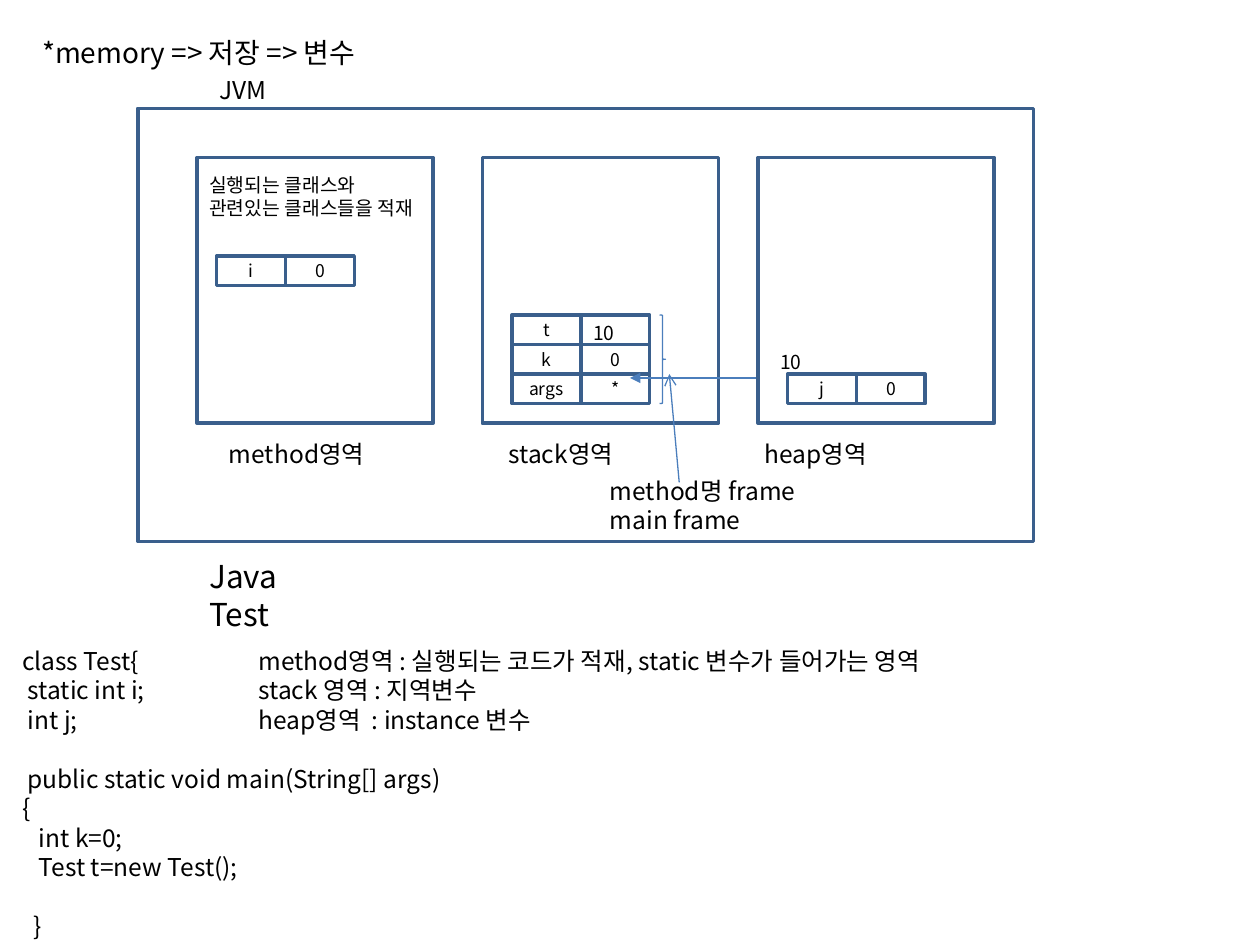
from pptx import Presentation
from pptx.dml.color import RGBColor
from pptx.enum.shapes import MSO_CONNECTOR as Link, MSO_SHAPE as Kind
from pptx.enum.text import MSO_ANCHOR as Anchor, MSO_AUTO_SIZE as Fit, PP_ALIGN as Align
from pptx.oxml.ns import qn
from pptx.util import Inches, Pt
from lxml.etree import SubElement

FONT = "Noto Sans CJK KR"
INK, EDGE, THIN = "000000", "3A5F8C", "4B7EBC"
WIDE, HIGH = 10, 7.5
UNIT = WIDE / 128  # the slide is 128 columns wide; all places are in grid units
CELL_W, CELL_H = 7, 3
GAP = 17  # points, one empty line of code

# left, top, width, height
FRAME = (14, 11, 91, 44)
AREAS = [(x, 16, 24, 27) for x in (20, 49, 77)]

TITLE = (3, 3, 38.3, 4.7), 16, ["*memory => 저장 => 변수"]
NOTES = [
    ((22, 44, 16.5, 4.4), 14, ["method영역"]),
    ((50.4, 44, 13.3, 4.4), 14, ["stack영역"]),
    ((76.4, 44, 13.2, 4.4), 14, ["heap영역"]),
    ((21, 7, 7.4, 4.4), 14, ["JVM"]),
    ((25, 65, 76, 10.4), 14, [
        "method영역 : 실행되는 코드가 적재, static 변수가 들어가는 영역",
        "stack 영역 : 지역변수",
        "heap영역  : instance 변수"]),
    ((20, 56, 15.4, 5.1), 18, ["Java Test"]),
    ((20, 17, 25.7, 6), 11, ["실행되는 클래스와", "관련있는 클래스들을 적재"]),
    ((60.7, 47.7, 21.4, 7.3), 14, ["method명 frame", "main frame"]),
    ((78, 35, 4.8, 3.7), 11, ["10"]),
    ((59, 32, 4.8, 3.7), 11, ["10"]),
]
CODE = (1, 65, 45.6, 31), 14, [
    "class Test{",
    " static int i;",
    " int j;",
    " public static void main(String[] args){",
    "   int k=0;",
    "   Test t=new Test();",
    "  }",
]
BREAKS = (3, 6)  # code lines that follow an empty line

# left, top, rows of name and value
STORES = [
    (22, 26, [("i", "0")]),
    (52, 32, [("t", ""), ("k", "0"), ("args", "*")]),
    (80, 38, [("j", "0")]),
]
BRACE = (67, 32, 0.6, 9)
ARROW = (69, 49, 68, 38)
CURVE = [  # inches
    (6.25, 2.99), (6.24, 2.91), (6.21, 2.86), (6.17, 2.81), (6.12, 2.78),
    (6.06, 2.74), (5.99, 2.71), (5.92, 2.69), (5.88, 2.68), (5.51, 2.68),
    (5.42, 2.7), (5.35, 2.72), (5.25, 2.75), (5.18, 2.78), (5.1, 2.81),
    (5.06, 2.83), (5.02, 2.85),
]


def color(code):
    return RGBColor.from_string(code)


def grid(nums):
    return [Inches(n * UNIT) for n in nums]


def write(shape, size, lines, breaks=(), **form):
    frame = shape.text_frame
    base = dict(word_wrap=True, auto_size=Fit.NONE, vertical_anchor=Anchor.TOP)
    align = form.pop("align", Align.LEFT)
    for key, val in {**base, **form}.items():
        setattr(frame, key, val)
    for i, line in enumerate(lines):
        para = frame.paragraphs[0] if i == 0 else frame.add_paragraph()
        para.alignment = align
        if i in breaks:
            para.space_before = Pt(GAP)
        run = para.add_run()
        run.text = line
        font = run.font
        for key, val in dict(name=FONT, size=Pt(size)).items():
            setattr(font, key, val)
        font.color.rgb = color(INK)
        SubElement(run._r.get_or_add_rPr(), qn("a:ea"), typeface=FONT)


def note(shapes, box, size, lines, breaks=()):
    write(shapes.add_textbox(*grid(box)), size, lines, breaks)


def trace(shape, code, width):
    shape.line.color.rgb = color(code)
    shape.line.width = Pt(width)


def outline(shape, code=EDGE, width=2):
    shape.shadow.inherit = False
    shape.fill.background()
    trace(shape, code, width)
    return shape


def tip(shape, kind):
    SubElement(shape.line._get_or_add_ln(), qn("a:tailEnd"), type=kind)


def store(shapes, left, top, rows):
    for r, row in enumerate(rows):
        for c, word in enumerate(row):
            box = left + c * CELL_W, top + r * CELL_H, CELL_W, CELL_H
            cell = outline(shapes.add_shape(Kind.RECTANGLE, *grid(box)))
            if word:
                write(cell, 10, [word], align=Align.CENTER,
                      vertical_anchor=Anchor.MIDDLE)


def main():
    deck = Presentation()
    deck.slide_width, deck.slide_height = Inches(WIDE), Inches(HIGH)
    shapes = deck.slides.add_slide(deck.slide_layouts[5]).shapes

    box, size, lines = TITLE
    title = shapes.title
    for key, val in zip(("left", "top", "width", "height"), grid(box)):
        setattr(title, key, val)
    write(title, size, lines)

    for area in AREAS + [FRAME]:
        outline(shapes.add_shape(Kind.RECTANGLE, *grid(area)))
    for item in STORES:
        store(shapes, *item)
    outline(shapes.add_shape(Kind.RIGHT_BRACE, *grid(BRACE)), THIN, 0.75)

    arrow = shapes.add_connector(Link.STRAIGHT, *grid(ARROW))
    trace(arrow, THIN, 0.75)
    SubElement(arrow._element.spPr, qn("a:effectLst"))
    tip(arrow, "arrow")

    pen = shapes.build_freeform(*CURVE[0], scale=Inches(1))
    pen.add_line_segments(CURVE[1:], close=False)
    tip(outline(pen.convert_to_shape(), THIN, 0.75), "triangle")

    for item in NOTES:
        note(shapes, *item)
    note(shapes, *CODE, BREAKS)
    deck.save("out.pptx")


if __name__ == "__main__":
    main()
